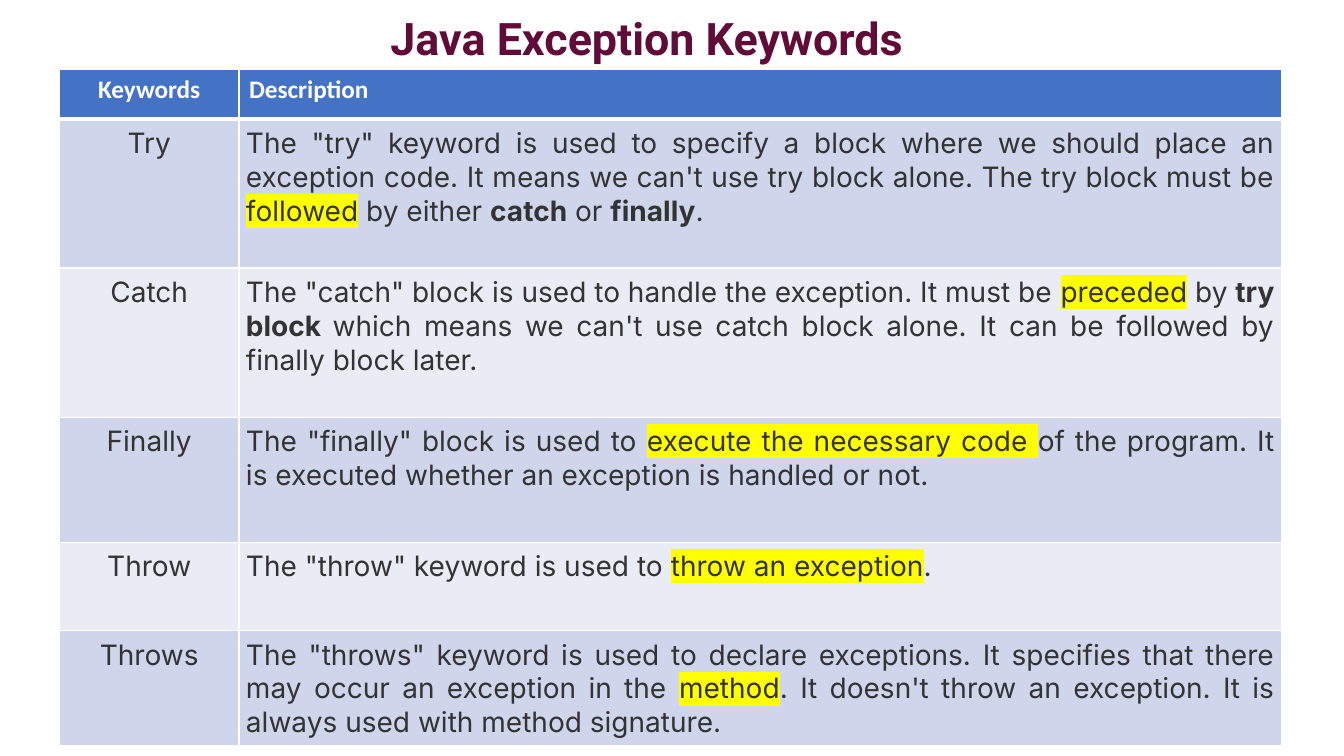
"""Build the slide that explains the Java exception keywords in a table."""
from dataclasses import dataclass

from lxml.etree import SubElement
from pptx import Presentation
from pptx.dml.color import RGBColor
from pptx.enum.text import MSO_ANCHOR, PP_ALIGN
from pptx.oxml.ns import qn
from pptx.util import Inches, Length, Pt

SLIDE_WIDTH = Inches(13.33)
SLIDE_HEIGHT = Inches(7.5)
WHITE = RGBColor(0xFF, 0xFF, 0xFF)
MAROON = RGBColor(0x61, 0x0B, 0x38)
CHARCOAL = RGBColor(0x33, 0x33, 0x33)
YELLOW = RGBColor(0xFF, 0xFF, 0x00)
HEADER_BLUE = RGBColor(0x44, 0x72, 0xC4)
BAND_COLORS = (RGBColor(0xCF, 0xD5, 0xEA), RGBColor(0xE9, 0xEB, 0xF5))
COLUMN_SHARES = (13.35, 77.57)
HEADER_SHARE = 6.53
BODY_MARGIN = 0.07


@dataclass(frozen=True)
class Span:
    text: str
    bold: bool = False
    highlight: bool = False


@dataclass(frozen=True)
class Keyword:
    name: str
    height_share: float
    description: tuple[Span, ...]


KEYWORDS = (
    Keyword("Try", 19.73, (
        Span('The "try" keyword is used to specify a block where we should place an exception code. '
             "It means we can't use try block alone. The try block must be "),
        Span("followed", highlight=True),
        Span(" by either "),
        Span("catch", bold=True),
        Span(" or "),
        Span("finally", bold=True),
        Span("."),
    )),
    Keyword("Catch", 19.73, (
        Span('The "catch" block is used to handle the exception. It must be '),
        Span("preceded", highlight=True),
        Span(" by "),
        Span("try block ", bold=True),
        Span("which means we can't use catch block alone. It can be followed by finally block later."),
    )),
    Keyword("Finally", 16.53, (
        Span('The "finally" block is used to '),
        Span("execute the necessary code ", highlight=True),
        Span("of the program. It is executed whether an exception is handled or not."),
    )),
    Keyword("Throw", 11.73, (
        Span('The "throw" keyword is used to '),
        Span("throw an exception", highlight=True),
        Span("."),
    )),
    Keyword("Throws", 15.07, (
        Span('The "throws" keyword is used to declare exceptions. It specifies that there may occur '
             "an exception in the "),
        Span("method", highlight=True),
        Span(". It doesn't throw an exception. It is always used with method signature."),
    )),
)


def across(percent: float) -> Length:
    """Return a percentage of the slide's width."""
    return Length(round(SLIDE_WIDTH * percent / 100))


def down(percent: float) -> Length:
    """Return a percentage of the slide's height."""
    return Length(round(SLIDE_HEIGHT * percent / 100))


def write_text(text_frame, *spans: Span, font: str, size: float, color: RGBColor,
               align: PP_ALIGN = PP_ALIGN.LEFT, line_spacing: float = 1.0) -> None:
    """Write the spans as one formatted paragraph."""
    paragraph = text_frame.paragraphs[0]
    paragraph.alignment = align
    paragraph.line_spacing = line_spacing
    for span in spans:
        run = paragraph.add_run()
        run.text = span.text
        run.font.size = Pt(size)
        run.font.bold = span.bold
        run.font.color.rgb = color
        if span.highlight:
            properties = run._r.get_or_add_rPr()
            highlight = SubElement(properties, qn("a:highlight"))
            SubElement(highlight, qn("a:srgbClr"), val=str(YELLOW))
        run.font.name = font


def style_cell(cell, fill: RGBColor, top: float = 1, bottom: float = 1) -> None:
    """Give a cell white borders and a solid fill."""
    properties = cell._tc.get_or_add_tcPr()
    for side, points in (("L", 1), ("R", 1), ("T", top), ("B", bottom)):
        line = SubElement(properties, qn(f"a:ln{side}"), w=str(Pt(points)))
        solid = SubElement(line, qn("a:solidFill"))
        SubElement(solid, qn("a:srgbClr"), val=str(WHITE))
    cell.fill.solid()
    cell.fill.fore_color.rgb = fill


def add_title(slide) -> None:
    """Add the centred heading."""
    title = slide.shapes.add_textbox(across(3.23), down(0.53), across(89.8), down(9.87))
    text_frame = title.text_frame
    text_frame.word_wrap = True
    text_frame.vertical_anchor = MSO_ANCHOR.MIDDLE
    write_text(text_frame, Span("Java Exception Keywords", bold=True), font="Roboto", size=32,
               color=MAROON, align=PP_ALIGN.CENTER, line_spacing=0.9)


def add_keyword_table(slide) -> None:
    """Add the table with one row for each keyword."""
    heights = (HEADER_SHARE, *(keyword.height_share for keyword in KEYWORDS))
    table = slide.shapes.add_table(
        len(heights), len(COLUMN_SHARES), across(4.43), down(9.2),
        across(sum(COLUMN_SHARES)), down(sum(heights))).table
    for column, share in zip(table.columns, COLUMN_SHARES):
        column.width = across(share)
    for row, share in zip(table.rows, heights):
        row.height = down(share)

    headings = (("Keywords", PP_ALIGN.CENTER), ("Description", PP_ALIGN.LEFT))
    for cell, (heading, align) in zip(table.rows[0].cells, headings):
        style_cell(cell, HEADER_BLUE, bottom=3)
        write_text(cell.text_frame, Span(heading, bold=True), font="Calibri", size=18,
                   color=WHITE, align=align)

    for index, keyword in enumerate(KEYWORDS):
        contents = (((Span(keyword.name),), PP_ALIGN.CENTER),
                    (keyword.description, PP_ALIGN.JUSTIFY))
        for cell, (spans, align) in zip(table.rows[index + 1].cells, contents):
            style_cell(cell, BAND_COLORS[index % 2], top=1 if index else 3)
            cell.margin_left = cell.margin_right = Inches(BODY_MARGIN)
            cell.margin_top = cell.margin_bottom = Inches(BODY_MARGIN)
            write_text(cell.text_frame, *spans, font="Inter", size=20, color=CHARCOAL, align=align)


def main() -> None:
    """Create and save the presentation."""
    presentation = Presentation()
    presentation.slide_width = SLIDE_WIDTH
    presentation.slide_height = SLIDE_HEIGHT
    slide = presentation.slides.add_slide(presentation.slide_layouts[6])
    add_title(slide)
    add_keyword_table(slide)
    presentation.save("out.pptx")


if __name__ == "__main__":
    main()
